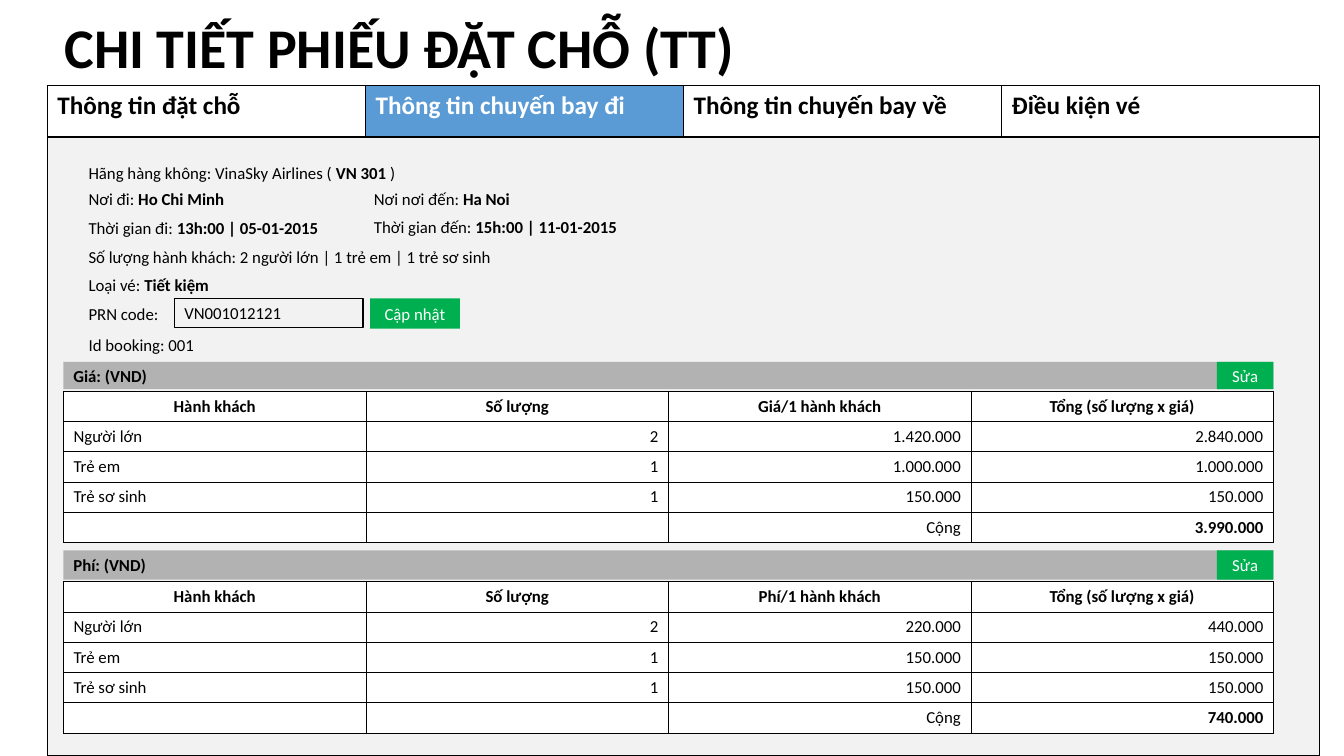
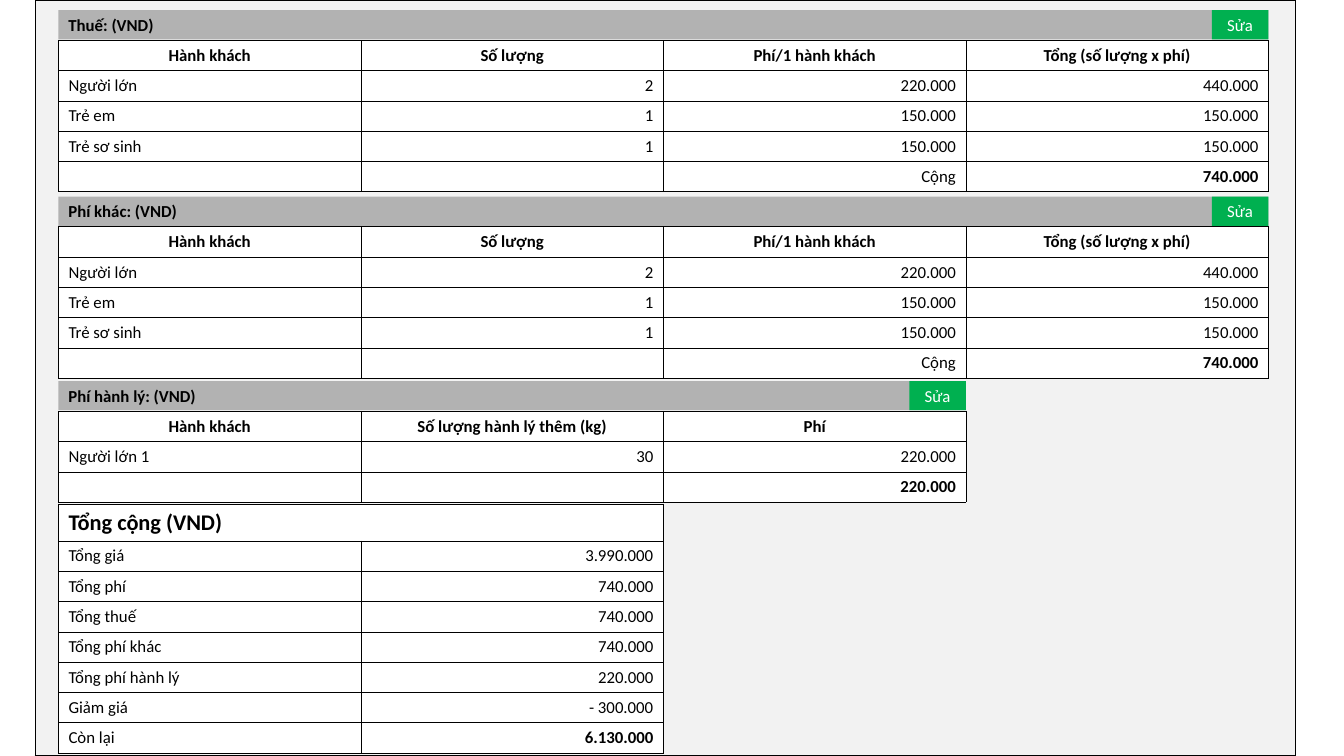
"""Build two slides showing the details of a flight booking."""
from dataclasses import dataclass

from lxml import etree
from pptx import Presentation
from pptx.dml.color import RGBColor
from pptx.enum.shapes import MSO_SHAPE
from pptx.enum.text import MSO_ANCHOR, PP_ALIGN
from pptx.oxml.ns import qn
from pptx.util import Inches, Pt

LEFT, CENTER, RIGHT = PP_ALIGN.LEFT, PP_ALIGN.CENTER, PP_ALIGN.RIGHT
TOP, MIDDLE = MSO_ANCHOR.TOP, MSO_ANCHOR.MIDDLE
RECTANGLE = MSO_SHAPE.RECTANGLE


@dataclass(frozen=True)
class Theme:
    """Colours, font and type sizes."""
    font: str = "Calibri"
    black: str = "000000"
    white: str = "FFFFFF"
    blue: str = "5B9BD5"
    green: str = "00B050"
    band: str = "B2B2B2"
    panel: str = "F2F2F2"
    title: int = 40
    tab: int = 18
    total: int = 16
    body: int = 12
    frame_line: float = 1
    grid_line: float = 0.5


THEME = Theme()
COLUMN, ROW, TOTAL_ROW = 3, 0.3, 0.36
BUTTON_WIDTH = 0.56
EDIT = "Sửa"


def fare_rows(unit, formula, adult, child, infant, total):
    """Return the rows of a table with one price per kind of passenger."""
    return [
        ("Hành khách", "Số lượng", f"{unit}/1 hành khách", f"Tổng (số lượng x {formula})"),
        ("Người lớn", "2", *adult),
        ("Trẻ em", "1", child, child),
        ("Trẻ sơ sinh", "1", infant, infant),
        ("", "", "Cộng", total),
    ]


def fee_rows(formula):
    """Return the rows shared by the fee and tax tables."""
    return fare_rows("Phí", formula, ("220.000", "440.000"), "150.000", "150.000", "740.000")


TITLE = "CHI TIẾT PHIẾU ĐẶT CHỖ (TT)"
TABS = ("Thông tin đặt chỗ", "Thông tin chuyến bay đi", "Thông tin chuyến bay về", "Điều kiện vé")
SELECTED_TAB = 1

DETAILS = [
    (("Hãng hàng không: VinaSky Airlines ( ", "VN 301 ", ")"), 0.78, 1.58, 6, 0.26),
    (("Nơi đi: ", "Ho Chi Minh"), 0.78, 1.84, 2.83, 0.27),
    (("Nơi nơi đến: ", "Ha Noi"), 3.61, 1.85, 3.17, 0.25),
    (("Thời gian đi: ", "13h:00 | 05-01-2015"), 0.78, 2.11, 2.83, 0.29),
    (("Thời gian đến: ", "15h:00 | 11-01-2015"), 3.61, 2.1, 3.17, 0.3),
    (("Số lượng hành khách: 2 người lớn | 1 trẻ em | 1 trẻ sơ sinh",), 0.78, 2.4, 6, 0.29),
    (("Loại vé: ", "Tiết kiệm"), 0.78, 2.68, 6, 0.29),
    (("PRN code:",), 0.78, 2.97, 0.96, 0.29),
    (("Id booking: 001",), 0.78, 3.28, 5.95, 0.29),
]

FLIGHT_SECTIONS = [
    ("Giá: (VND)", 3.59, 0.27, 3.88,
     fare_rows("Giá", "giá", ("1.420.000", "2.840.000"), "1.000.000", "150.000", "3.990.000")),
    ("Phí: (VND)", 5.46, 0.29, 5.77, fee_rows("giá")),
]
CHARGE_SECTIONS = [
    ("Thuế: (VND)", 0.1, 0.29, 0.4, fee_rows("phí")),
    ("Phí khác: (VND)", 1.95, 0.29, 2.25, fee_rows("phí")),
    ("Phí hành lý: (VND)", 3.78, 0.29, 4.08, [
        ("Hành khách", "Số lượng hành lý thêm (kg)", "Phí"),
        ("Người lớn 1", "30", "220.000"),
        ("", "", "220.000"),
    ]),
]
TOTALS = [
    ("Tổng cộng (VND)", ""),
    ("Tổng giá", "3.990.000"),
    ("Tổng phí", "740.000"),
    ("Tổng thuế", "740.000"),
    ("Tổng phí khác", "740.000"),
    ("Tổng phí hành lý", "220.000"),
    ("Giảm giá", "- 300.000"),
    ("Còn lại", "6.130.000"),
]


def rgb(color):
    return RGBColor.from_string(color)


def write(frame, text, size=THEME.body, color=THEME.black, bold=False, align=LEFT):
    """Write a string, or a tuple whose every second part is bold."""
    para = frame.paragraphs[0]
    para.alignment = align
    parts = (text,) if isinstance(text, str) else text
    for index, part in enumerate(parts):
        if not part:
            etree.SubElement(para._p, qn("a:endParaRPr"), sz=str(size * 100))
            continue
        span = para.add_run()
        span.text = part
        span.font.name = THEME.font
        span.font.size = Pt(size)
        span.font.bold = bold or index % 2 == 1
        span.font.color.rgb = rgb(color)


def add_text(page, text, left, top, width, height, anchor=MIDDLE, **style):
    box = page.shapes.add_textbox(*map(Inches, (left, top, width, height)))
    box.text_frame.word_wrap = True
    box.text_frame.vertical_anchor = anchor
    write(box.text_frame, text, **style)


def add_box(page, text, left, top, width, height, fill=None, line=None, **style):
    box = page.shapes.add_shape(RECTANGLE, *map(Inches, (left, top, width, height)))
    box.shadow.inherit = False
    if fill:
        box.fill.solid()
        box.fill.fore_color.rgb = rgb(fill)
    else:
        box.fill.background()
    if line:
        box.line.color.rgb = rgb(line)
        box.line.width = Pt(THEME.frame_line)
    else:
        box.line.fill.background()
    box.text_frame.word_wrap = True
    box.text_frame.vertical_anchor = MIDDLE
    write(box.text_frame, text, **style)


def add_button(page, text, left, top, width, height):
    add_box(page, text, left, top, width, height, fill=THEME.green, color=THEME.white, align=CENTER)


def add_grid(page, left, top, column, heights, columns):
    """Add an unstyled table with equal columns and return it."""
    size = (left, top, column * columns, sum(heights))
    table = page.shapes.add_table(len(heights), columns, *map(Inches, size)).table
    table.first_row = table.horz_banding = False
    for item in table.columns:
        item.width = Inches(column)
    for item, height in zip(table.rows, heights):
        item.height = Inches(height)
    return table


def fill_cell(cell, text, fill=THEME.white, line=THEME.grid_line, **style):
    properties = cell._tc.get_or_add_tcPr()
    for side in ("lnL", "lnR", "lnT", "lnB"):
        border = etree.SubElement(properties, qn(f"a:{side}"), w=str(Pt(line)))
        paint = etree.SubElement(border, qn("a:solidFill"))
        etree.SubElement(paint, qn("a:srgbClr"), val=THEME.black)
    cell.fill.solid()
    cell.fill.fore_color.rgb = rgb(fill)
    cell.vertical_anchor = TOP
    write(cell.text_frame, text, **style)


def fill_table(table, rows, heading):
    """Fill a heading row, then body rows whose last figure is bold."""
    for r, row in enumerate(rows):
        for c, text in enumerate(row):
            last = r == len(rows) - 1 and c == len(row) - 1
            body = {"bold": last, "align": RIGHT if c else LEFT}
            fill_cell(table.cell(r, c), text, **(body if r else heading))


def add_section(page, left, title, top, height, table_top, rows):
    """Add a grey band with an edit button and the table below it."""
    columns = len(rows[0])
    width = COLUMN * columns
    add_box(page, title, left, top, width, height, fill=THEME.band, bold=True)
    add_button(page, EDIT, left + width - BUTTON_WIDTH, top, BUTTON_WIDTH, height)
    table = add_grid(page, left, table_top, COLUMN, [ROW] * len(rows), columns)
    fill_table(table, rows, {"bold": True, "align": CENTER})


def add_tabs(page):
    table = add_grid(page, 0.47, 0.85, 12.62 / len(TABS), (0.51, 6.14), len(TABS))
    table.cell(1, 0).merge(table.cell(1, len(TABS) - 1))
    for index, text in enumerate(TABS):
        selected = index == SELECTED_TAB
        fill_cell(table.cell(0, index), text, line=THEME.frame_line, size=THEME.tab, bold=True,
                  fill=THEME.blue if selected else THEME.white,
                  color=THEME.white if selected else THEME.black)
        fill_cell(table.cell(1, index), "", fill=THEME.panel, line=THEME.frame_line)


def build_flight_page(page):
    add_tabs(page)
    add_text(page, TITLE, 0.54, 0.08, 11.99, 0.77, anchor=TOP, size=THEME.title, bold=True)
    for text, *place in DETAILS:
        add_text(page, text, *place)
    add_button(page, "Cập nhật", 3.67, 2.96, 0.89, 0.3)
    add_box(page, "VN001012121", 1.73, 2.96, 1.87, 0.29, line=THEME.black)
    for section in FLIGHT_SECTIONS:
        add_section(page, 0.63, *section)


def build_charges_page(page):
    panel = add_grid(page, 0.35, 0, 12.5, [7.5], 1)
    fill_cell(panel.cell(0, 0), "", fill=THEME.panel, line=THEME.frame_line)
    for section in CHARGE_SECTIONS:
        add_section(page, 0.58, *section)
    heights = [TOTAL_ROW] + [ROW] * (len(TOTALS) - 1)
    totals = add_grid(page, 0.58, 5, COLUMN, heights, 2)
    totals.cell(0, 0).merge(totals.cell(0, 1))
    fill_table(totals, TOTALS, {"bold": True, "size": THEME.total})


deck = Presentation()
deck.slide_width, deck.slide_height = Inches(13.33), Inches(7.5)
for build in (build_flight_page, build_charges_page):
    build(deck.slides.add_slide(deck.slide_layouts[6]))
deck.save("out.pptx")
